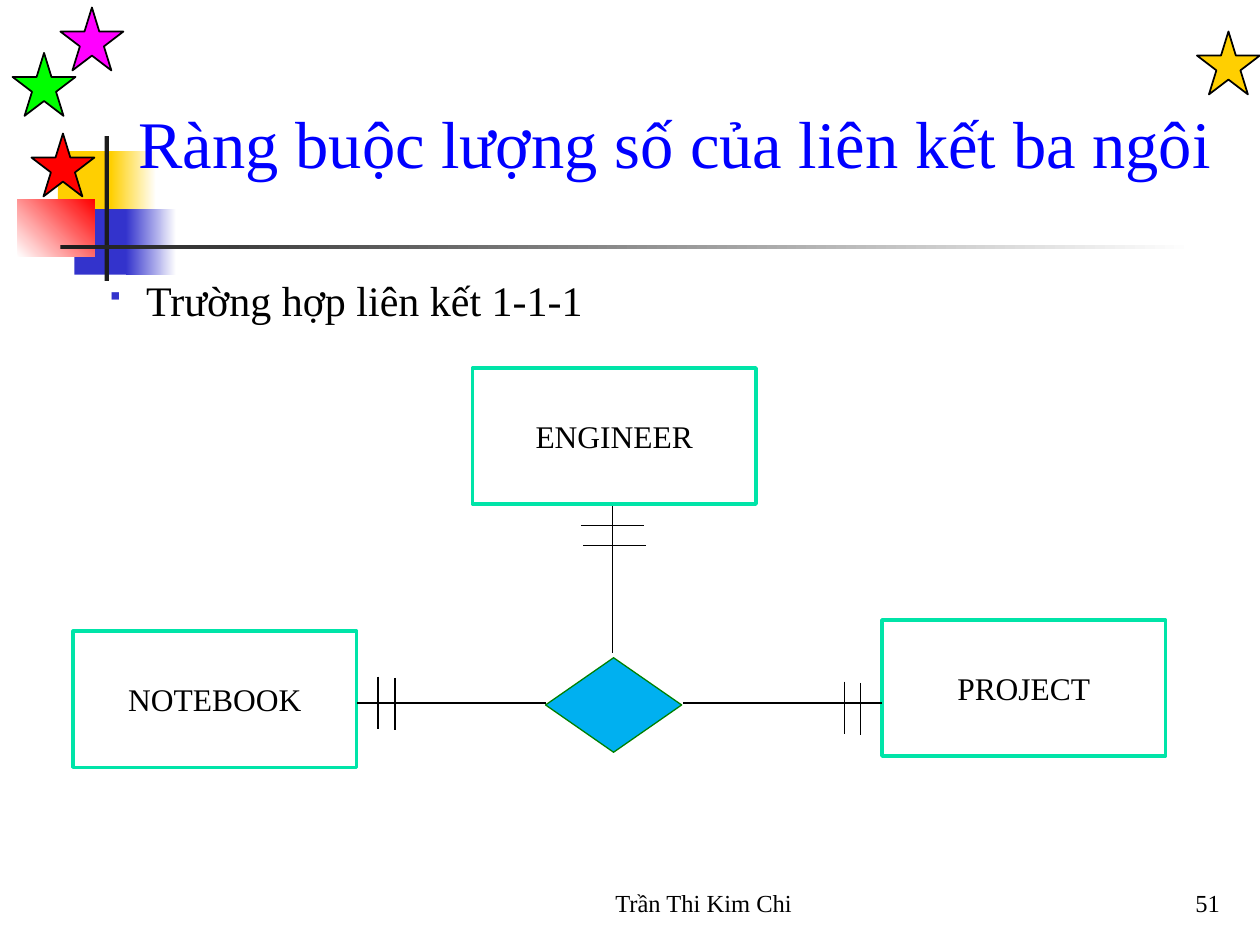
from lxml.etree import SubElement
from pptx import Presentation
from pptx.dml.color import RGBColor
from pptx.enum.shapes import MSO_CONNECTOR as Connector, MSO_SHAPE as Shape
from pptx.enum.text import MSO_ANCHOR as Anchor, PP_ALIGN as Align
from pptx.oxml.ns import qn
from pptx.util import Inches, Pt

COLUMNS, ROWS = 100, 75
COLORS = {
    "black": "000000", "white": "FFFFFF", "ink": "1C1C1C", "title": "0000FF",
    "gold": "FFCF01", "indigo": "3333CC", "red": "FF0000", "lime": "00FF00",
    "magenta": "FF00FF", "mint": "00E4A8", "sky": "00B0F0", "green": "008000",
}


def rgb(name):
    return RGBColor.from_string(COLORS[name])


def write(shape, text, size=18, color="black", align=Align.LEFT,
          anchor=Anchor.MIDDLE, wrap=True):
    frame = shape.text_frame
    frame.word_wrap = wrap
    frame.vertical_anchor = anchor
    paragraph = frame.paragraphs[0]
    paragraph.alignment = align
    run = paragraph.add_run()
    run.text = text
    run.font.name = "Times New Roman"
    run.font.size = Pt(size)
    run.font.color.rgb = rgb(color)
    return paragraph


class Deck:
    """Holds the style, the grid and the current slide."""

    def __init__(self):
        self.presentation = Presentation()
        self.presentation.slide_width = Inches(10)
        self.presentation.slide_height = Inches(7.5)
        self.column = self.presentation.slide_width / COLUMNS
        self.row = self.presentation.slide_height / ROWS
        self.slide = self.presentation.slides.add_slide(
            self.presentation.slide_layouts[5])

    def place(self, x, y, width, height):
        return (round(x * self.column), round(y * self.row),
                round(width * self.column), round(height * self.row))

    def title(self, box, text, **style):
        """Fill the title placeholder and bring it in front of what is drawn."""
        title = self.slide.shapes.title
        title.left, title.top, title.width, title.height = self.place(*box)
        write(title, text, **style)
        title.element.getparent().append(title.element)

    def text(self, box, text, **style):
        shape = self.slide.shapes.add_textbox(*self.place(*box))
        return shape, write(shape, text, **style)

    def bullet(self, box, text, **style):
        shape, paragraph = self.text(box, text, anchor=Anchor.TOP, **style)
        shape.text_frame.margin_left = Inches(0.2)
        shape.text_frame.margin_top = Inches(0.1)
        properties = paragraph._p.get_or_add_pPr()
        properties.set("marL", str(Inches(0.29)))
        properties.set("indent", str(-Inches(0.29)))
        color = SubElement(properties, qn("a:buClr"))
        SubElement(color, qn("a:srgbClr"), val=COLORS["indigo"])
        SubElement(properties, qn("a:buSzPct"), val="60000")
        SubElement(properties, qn("a:buFont"), typeface="Wingdings")
        SubElement(properties, qn("a:buChar"), char="§")

    def shape(self, kind, box, fill, line=None, weight=1):
        shape = self.slide.shapes.add_shape(kind, *self.place(*box))
        shape.shadow.inherit = False
        shape.fill.solid()
        shape.fill.fore_color.rgb = rgb(fill)
        if line:
            shape.line.color.rgb = rgb(line)
            shape.line.width = Pt(weight)
        else:
            shape.line.fill.background()
        return shape

    def fade(self, box, start, end="white", angle=0):
        """Add a rectangle with a two-colour gradient, angle counter-clockwise."""
        fill = self.shape(Shape.RECTANGLE, box, start).fill
        fill.gradient()
        fill.gradient_angle = angle
        for stop, position, color in zip(fill.gradient_stops, (0, 1), (start, end)):
            stop.position = position
            stop.color.rgb = rgb(color)

    def entity(self, x, y, name):
        shape = self.shape(Shape.RECTANGLE, (x, y, 22.5, 10.8), "white", "mint", 2)
        write(shape, name, align=Align.CENTER, wrap=False)

    def line(self, x1, y1, x2, y2):
        start_x, start_y, end_x, end_y = self.place(x1, y1, x2, y2)
        connector = self.slide.shapes.add_connector(
            Connector.STRAIGHT, start_x, start_y, end_x, end_y)
        connector.line.color.rgb = rgb("black")
        connector.line.width = Pt(0.75)
        SubElement(connector._element.spPr, qn("a:effectLst"))


def draw_decoration(deck):
    deck.shape(Shape.RECTANGLE, (4.6, 12, 4.8, 5.2), "gold")
    deck.fade((8.8, 12, 3.6, 5.2), "gold")
    deck.shape(Shape.RECTANGLE, (5.9, 16.6, 4.6, 5.2), "indigo")
    deck.fade((10, 16.6, 4, 5.2), "indigo")
    deck.fade((1.4, 15.8, 6.1, 4.6), "white", "red", angle=45)
    deck.shape(Shape.RECTANGLE, (8.3, 10.8, 0.35, 11.5), "ink")
    deck.fade((4.8, 19.45, 90, 0.35), "ink")
    for x, y, color in ((95, 2.5, "gold"), (2.5, 10.6, "red"),
                        (1, 4.2, "lime"), (4.8, 0.6, "magenta")):
        deck.shape(Shape.STAR_5_POINT, (x, y, 5, 5), color, "black")


def draw_diagram(deck):
    for x, y, name in ((37.5, 29.2, "ENGINEER"), (5.8, 50.1, "NOTEBOOK"),
                       (70, 49.2, "PROJECT")):
        deck.entity(x, y, name)
    deck.shape(Shape.DIAMOND, (43.3, 52.2, 10.8, 7.5), "sky", "green", 0.75)
    deck.line(48.6, 40.2, 48.6, 51.8)
    for start, end in ((43.3, 28.3), (54.2, 70)):
        deck.line(start, 55.8, end, 55.8)
    for x, y in ((46.1, 41.7), (46.3, 43.3)):
        deck.line(x, y, x + 5, y)
    for x, y in ((30, 53.7), (31.35, 53.8), (67, 54.1), (68.3, 54.2)):
        deck.line(x, y, x, y + 4.15)


def main():
    deck = Deck()
    draw_decoration(deck)
    deck.title((10, 3.3, 94.1, 16), "Ràng buộc lượng số của liên kết ba ngôi",
               size=38, color="title")
    deck.bullet((6.7, 20.8, 89.5, 45.8), "Trường hợp liên kết 1-1-1", size=24)
    draw_diagram(deck)
    deck.text((40, 68.3, 31.7, 5), "Trần Thi Kim Chi", size=14,
              align=Align.CENTER, anchor=Anchor.BOTTOM)
    deck.text((77, 68.3, 20.8, 5), "51", size=14,
              align=Align.RIGHT, anchor=Anchor.BOTTOM)
    deck.presentation.save("out.pptx")


if __name__ == "__main__":
    main()
